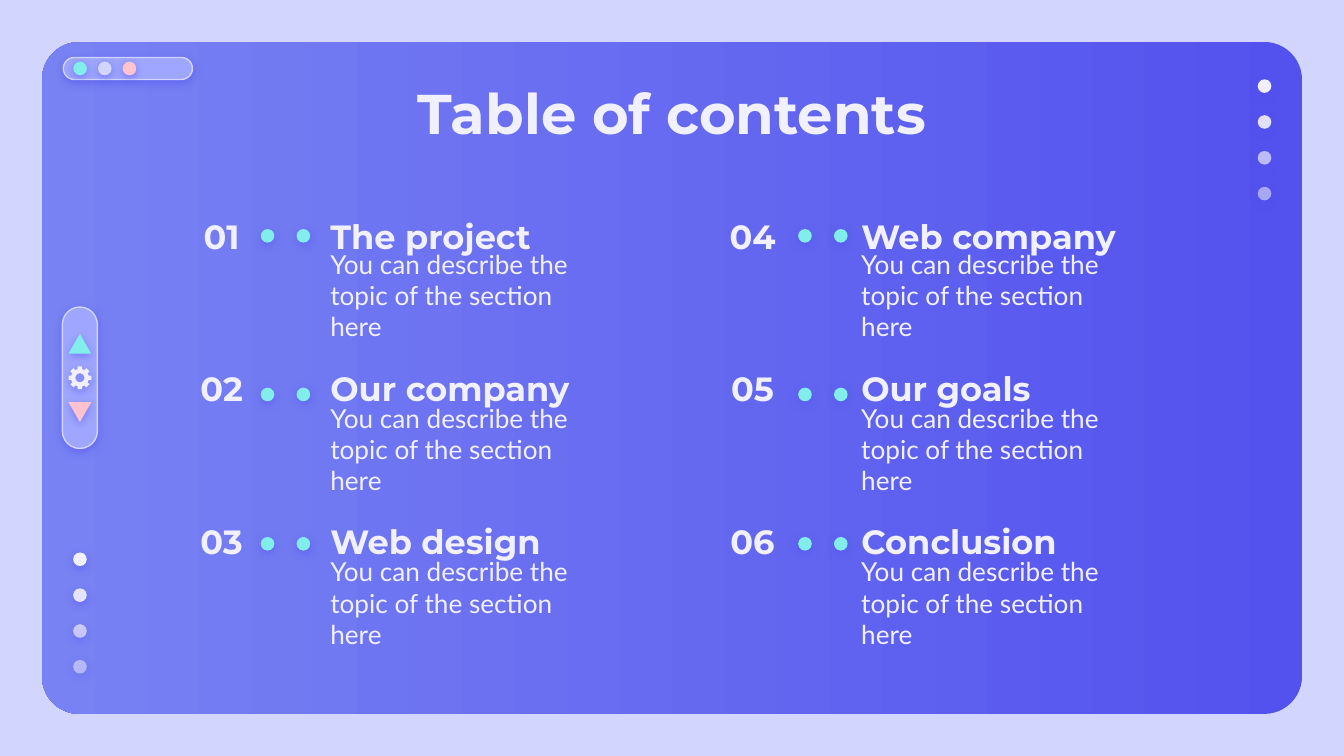
from dataclasses import dataclass
from math import cos, pi, sin

from lxml import etree
from pptx import Presentation
from pptx.dml.color import RGBColor
from pptx.enum.shapes import MSO_SHAPE as Kind
from pptx.enum.text import MSO_ANCHOR as Anchor, PP_ALIGN as Align
from pptx.oxml.ns import qn
from pptx.util import Pt


@dataclass(frozen=True)
class Theme:
    page: str = "D2D6FF"
    deep: str = "5352EE"
    soft: str = "7882F3"
    bar: str = "9EA6FF"
    aqua: str = "81EEEB"
    pink: str = "FFC3D0"
    light: str = "F1F0FF"
    head: str = "Montserrat"
    body: str = "Lato"
    title: float = 30
    label: float = 18
    note: float = 14
    dot: float = 7.3
    inset: float = 7.2


T = Theme()
NOTE = "You can describe the topic of the section here"
TOPICS = [
    ["The project", "Our company", "Web design"],
    ["Web company", "Our goals", "Conclusion"],
]
COLUMNS = [(84.2, 139.7), (368.6, 427.6)]
DOT_TOPS = [122.7, 207.7, 287.7]


def rgb(code):
    return RGBColor.from_string(code)


def glow(shape):
    shape.shadow.inherit = False
    effects = shape._element.spPr.find(qn("a:effectLst"))
    outer = etree.SubElement(effects, qn("a:outerShdw"), blurRad=str(Pt(4.5)),
                             dist=str(Pt(1.5)), dir="5400000",
                             algn="bl", rotWithShape="0")
    color = etree.SubElement(outer, qn("a:srgbClr"), val=T.deep)
    etree.SubElement(color, qn("a:alpha"), val="50000")


def paint(shape, color, alpha=100, edge=None):
    shape.fill.solid()
    shape.fill.fore_color.rgb = rgb(color)
    if alpha < 100:
        node = shape._element.spPr.find(".//" + qn("a:srgbClr"))
        etree.SubElement(node, qn("a:alpha"), val=str(alpha * 1000))
    if edge:
        shape.line.color.rgb = rgb(edge)
        shape.line.width = Pt(0.75)
    else:
        shape.line.fill.background()
    glow(shape)


def add(shapes, kind, x, y, w, h):
    return shapes.add_shape(kind, Pt(x), Pt(y), Pt(w), Pt(h))


def pill(shapes, x, y, w, h):
    shape = add(shapes, Kind.ROUNDED_RECTANGLE, x, y, w, h)
    shape.adjustments[0] = 0.5
    paint(shape, T.bar, edge=T.page)


def dots(shapes, x, y, dx, dy, looks):
    group = shapes.add_group_shape()
    for i, (color, alpha) in enumerate(looks):
        dot = add(group.shapes, Kind.OVAL, x + i * dx, y + i * dy, T.dot, T.dot)
        paint(dot, color, alpha)


def write(shapes, text, x, y, w, h, size, font=T.head, bold=True,
          align=Align.LEFT, anchor=Anchor.MIDDLE):
    frame = shapes.add_textbox(Pt(x), Pt(y), Pt(w), Pt(h)).text_frame
    frame.word_wrap = True
    frame.vertical_anchor = anchor
    frame.margin_left = frame.margin_right = Pt(T.inset)
    frame.margin_top = frame.margin_bottom = Pt(T.inset)
    line = frame.paragraphs[0]
    line.alignment = align
    run = line.add_run()
    run.text = text
    run.font.name = font
    run.font.size = Pt(size)
    run.font.bold = bold
    run.font.color.rgb = rgb(T.light)


def panel(shapes, x, y, w, h):
    shape = add(shapes, Kind.ROUNDED_RECTANGLE, x, y, w, h)
    shape.adjustments[0] = 0.056
    shape.fill.gradient()
    shape.fill.gradient_angle = 180
    for stop, color in zip(shape.fill.gradient_stops, (T.deep, T.soft)):
        stop.color.rgb = rgb(color)
    shape.line.fill.background()
    shape.shadow.inherit = False


def window(shapes, x, y, w, h):
    pill(shapes, x, y, w, h)
    looks = [(color, 100) for color in (T.aqua, T.page, T.pink)]
    dots(shapes, x + 5.4, y + (h - T.dot) / 2, 13.2, 0, looks)


def fade(shapes, x, y):
    looks = [(T.light, alpha) for alpha in (100, 90, 67, 54)]
    dots(shapes, x, y, 0, 19.2, looks)


def ring(x, y, radii, turns):
    return [(Pt(x + r * cos(a)), Pt(y + r * sin(a)))
            for r, a in zip(radii, turns)]


def gear(shapes, x, y):
    radii, turns = [], []
    for tooth in range(8):
        for radius, shift in ((4.8, -0.24), (6.2, -0.2), (6.2, 0.2), (4.8, 0.24)):
            radii.append(radius)
            turns.append(tooth * pi / 4 + shift)
    rim = ring(x, y, radii, turns)
    hole = ring(x, y, [2.4] * 24, [-i * pi / 12 for i in range(24)])
    builder = shapes.build_freeform(*rim[0], scale=1.0)
    builder.add_line_segments(rim[1:], close=True)
    builder.move_to(*hole[0])
    builder.add_line_segments(hole[1:], close=True)
    paint(builder.convert_to_shape(), T.light)


def scroll(shapes, x, y, w, h):
    pill(shapes, x, y, w, h)
    mid, half = x + w / 2, y + h / 2
    for shift, color, turn in ((-18.2, T.aqua, 0), (18.4, T.pink, 180)):
        arrow = add(shapes, Kind.ISOSCELES_TRIANGLE,
                    mid - 6.1, half + shift - 5.3, 12.2, 10.6)
        arrow.rotation = turn
        paint(arrow, color)
    gear(shapes, mid, half)


def entry(shapes, x, y, number, topic, note_y, dot_x, dot_y):
    left = x + 85.7
    write(shapes, f"{number:02}", x, y, 69.1, 19.4, T.label, align=Align.CENTER)
    write(shapes, topic, left, y, 181.4, 19.4, T.label)
    write(shapes, NOTE, left, note_y, 146.9, 38.2, T.note, T.body, False)
    dots(shapes, dot_x, dot_y, 19.2, 0, [(T.aqua, 100)] * 2)


def contents(shapes, y, note_y):
    for col, (x, dot_x) in enumerate(COLUMNS):
        for row, topic in enumerate(TOPICS[col]):
            entry(shapes, x, y + row * 81.7, col * 3 + row + 1, topic,
                  note_y + row * 82.4, dot_x, DOT_TOPS[row])


def main():
    deck = Presentation()
    deck.slide_width, deck.slide_height = Pt(720), Pt(405)
    slide = deck.slides.add_slide(deck.slide_layouts[6])
    slide.background.fill.solid()
    slide.background.fill.fore_color.rgb = rgb(T.page)
    shapes = slide.shapes
    panel(shapes, 22.5, 22.5, 675, 360)
    window(shapes, 33.9, 30.8, 69.2, 11.8)
    fade(shapes, 673.8, 42.5)
    fade(shapes, 39.2, 296)
    write(shapes, "Table of contents", 56.7, 35.1, 606.6, 45.1, T.title,
          align=Align.CENTER, anchor=Anchor.TOP)
    contents(shapes, 116.6, 139)
    scroll(shapes, 33.4, 164.5, 18.8, 75.8)
    deck.save("out.pptx")


if __name__ == "__main__":
    main()
